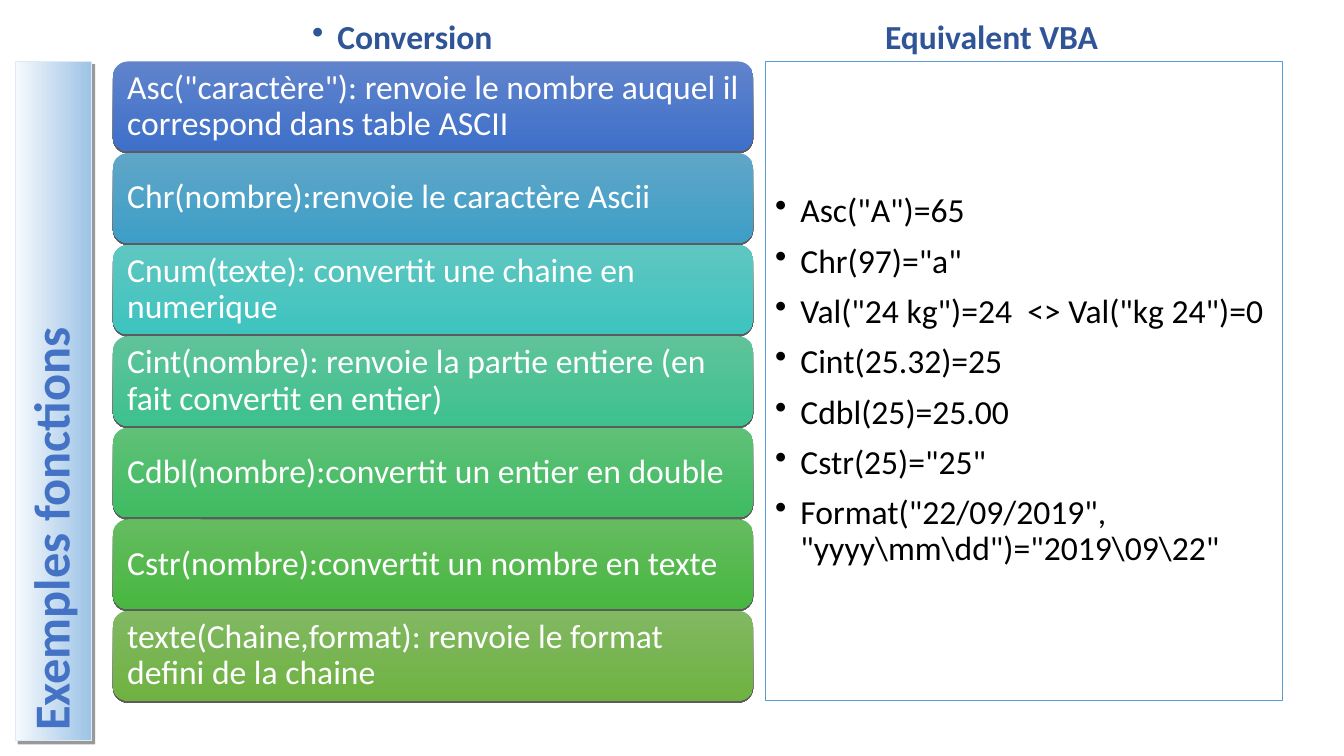
from lxml import etree
from pptx import Presentation
from pptx.dml.color import RGBColor
from pptx.enum.shapes import MSO_SHAPE
from pptx.enum.text import MSO_ANCHOR, PP_ALIGN
from pptx.oxml import parse_xml
from pptx.util import Inches, Pt

RECT, ROUND = MSO_SHAPE.RECTANGLE, MSO_SHAPE.ROUNDED_RECTANGLE
MID, LOW = MSO_ANCHOR.MIDDLE, MSO_ANCHOR.BOTTOM
LEFT, CENTER = PP_ALIGN.LEFT, PP_ALIGN.CENTER
NS = "http://schemas.openxmlformats.org/drawingml/2006/main"

HEX = {"title": "4472C4", "head": "2F5597", "white": "FFFFFF", "black": "000000",
       "edge": "DEEBF7", "frame": "5B9BD5", "pale": "F7FAFD", "sky": "9DC3E6"}

ROWS = [
    ('Asc("caractère"): renvoie le nombre auquel il correspond dans table ASCII',
     "6083CB", "3E70CA"),
    ("Chr(nombre):renvoie le caractère Ascii", "60A6C8", "3D9EC7"),
    ("Cnum(texte): convertit une chaine en numerique", "60C6C1", "3DC4BF"),
    ("Cint(nombre): renvoie la partie entiere (en fait convertit en entier)",
     "60C39A", "3DC18F"),
    ("Cdbl(nombre):convertit un entier en double", "5FC077", "3FBC62"),
    ("Cstr(nombre):convertit un nombre en texte", "65BC60", "48B740"),
    ("texte(Chaine,format): renvoie le format defini de la chaine",
     "81B861", "6FB242"),
]
CALLS = ['Asc("A")=65', 'Chr(97)="a"', 'Val("24 kg")=24  <> Val("kg 24")=0',
         "Cint(25.32)=25", "Cdbl(25)=25.00", 'Cstr(25)="25"',
         'Format("22/09/2019", "yyyy\\mm\\dd")="2019\\09\\22"']


def write(shape, lines, color, anchor=MID, align=LEFT, size=24, bold=False,
          before=0, bullet=False):
    frame = shape.text_frame
    frame.word_wrap = True
    frame.vertical_anchor = anchor
    for i, line in enumerate(lines):
        para = frame.add_paragraph() if i else frame.paragraphs[0]
        para.text = line
        para.alignment = align
        para.line_spacing = 0.9
        para.space_before = Pt(before)
        font = para.font
        font.name, font.size, font.bold = "Calibri", Pt(size), bold
        font.color.rgb = RGBColor.from_string(HEX[color])
        if bullet:
            props = para._p.get_or_add_pPr()
            props.set("marL", str(Inches(0.25)))
            props.set("indent", str(-Inches(0.25)))
            mark = etree.Element(f"{{{NS}}}buChar", char="•")
            props.find(f"{{{NS}}}defRPr").addprevious(mark)


def shade(shape, start, end, angle, blur, dist, turn, alpha):
    """Gradient fill and outer shadow, both fixed to the slide's axes."""
    props = shape._element.spPr
    fill = parse_xml(
        f'<a:gradFill xmlns:a="{NS}" rotWithShape="0"><a:gsLst>'
        f'<a:gs pos="0"><a:srgbClr val="{start}"/></a:gs>'
        f'<a:gs pos="100000"><a:srgbClr val="{end}"/></a:gs>'
        f'</a:gsLst><a:lin ang="{angle * 60000}" scaled="0"/></a:gradFill>')
    props.find(f"{{{NS}}}prstGeom").addnext(fill)
    props.append(parse_xml(
        f'<a:effectLst xmlns:a="{NS}"><a:outerShdw blurRad="{Pt(blur)}" '
        f'dist="{Pt(dist)}" dir="{turn * 60000}" algn="tl" rotWithShape="0">'
        f'<a:srgbClr val="000000"><a:alpha val="{alpha * 1000}"/></a:srgbClr>'
        f'</a:outerShdw></a:effectLst>'))


deck = Presentation()
deck.slide_width, deck.slide_height = Inches(13.33), Inches(7.5)
shapes = deck.slides.add_slide(deck.slide_layouts[6]).shapes

# Vertical title
title = shapes.add_shape(RECT, Inches(-2.84), Inches(3.6), Inches(6.74), Inches(0.76))
title.rotation = 270
title.line.color.rgb = RGBColor.from_string(HEX["edge"])
title.line.width = Pt(0.74)
shade(title, HEX["pale"], HEX["sky"], 0, 0, 3, 45, 40)
write(title, ["Exemples fonctions"], "title", size=36, bold=True)

# Column headings
for left, width, text, bullet in [(1.12, 5.74, "Conversion", True),
                                  (6.95, 5.77, "Equivalent VBA", False)]:
    head = shapes.add_textbox(Inches(left), Inches(0.1), Inches(width), Inches(0.51))
    write(head, [text], "head", LOW, CENTER, bold=True, before=10, bullet=bullet)

# Function bars
for i, (text, start, end) in enumerate(ROWS):
    bar = shapes.add_shape(ROUND, Inches(1.12), Inches(0.61 + i * 5.45 / 6),
                           Inches(6.35), Inches(0.89))
    bar.line.fill.background()
    shade(bar, start, end, 90, 0, 1.5, 90, 63)
    write(bar, [text], "white")

# Framed list of VBA calls
panel = shapes.add_shape(RECT, Inches(7.59), Inches(0.61), Inches(5.13), Inches(6.34))
panel.shadow.inherit = False
panel.fill.background()
panel.line.color.rgb = RGBColor.from_string(HEX["frame"])
panel.line.width = Pt(0.74)
write(panel, CALLS, "black", before=10, bullet=True)

deck.save("out.pptx")
